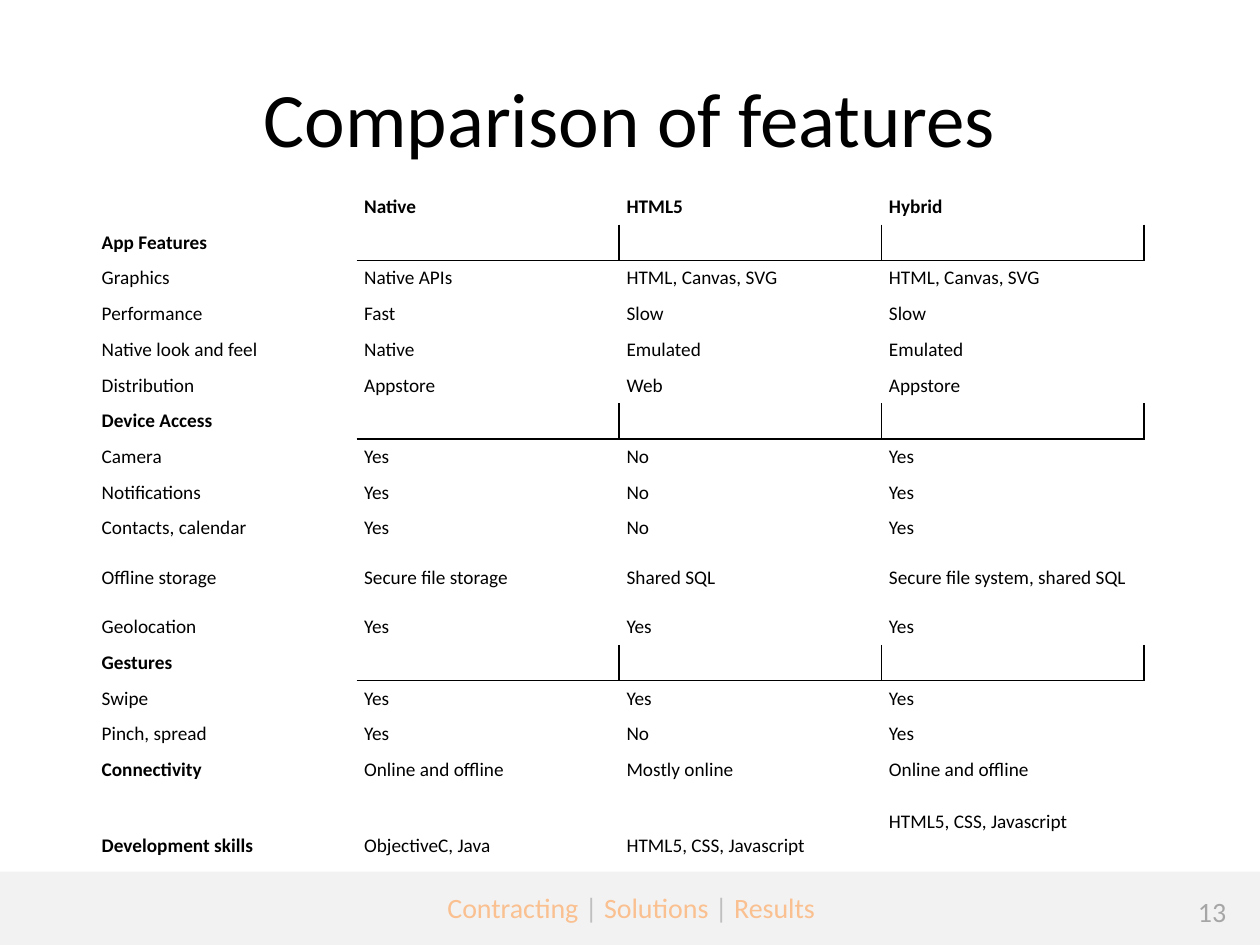
"""Build the slide that compares app features."""
from lxml.etree import SubElement as Sub
from pptx import Presentation as Deck
from pptx.dml.color import RGBColor as Rgb
from pptx.enum.shapes import MSO_SHAPE as Kind
from pptx.enum.text import MSO_ANCHOR as Anchor, PP_ALIGN as Align
from pptx.oxml.ns import qn
from pptx.util import Cm, Pt

FONT = "Calibri"
BLACK = Rgb(0x00, 0x00, 0x00)
BAND = Rgb(0xF2, 0xF2, 0xF2)
PEACH = Rgb(0xFA, 0xC0, 0x90)
SILVER = Rgb(0xBF, 0xBF, 0xBF)
GRAY = Rgb(0xA6, 0xA6, 0xA6)
PLAIN = "{2D5ABB26-0587-4C30-8999-92F81FD0307C}"

HEADS = {"App Features", "Device Access", "Gestures",
         "Connectivity", "Development skills"}
YES = ("Yes",) * 3
MIXED = ("Yes", "No", "Yes")
NONE = ("",) * 3
ROWS = [
    ("", "Native", "HTML5", "Hybrid"),
    ("App Features", *NONE),
    ("Graphics", "Native APIs", "HTML, Canvas, SVG", "HTML, Canvas, SVG"),
    ("Performance", "Fast", "Slow", "Slow"),
    ("Native look and feel", "Native", "Emulated", "Emulated"),
    ("Distribution", "Appstore", "Web", "Appstore"),
    ("Device Access", *NONE),
    ("Camera", *MIXED),
    ("Notifications", *MIXED),
    ("Contacts, calendar", *MIXED),
    ("Offline storage", "Secure file storage", "Shared SQL",
     "Secure file system, shared SQL"),
    ("Geolocation", *YES),
    ("Gestures", *NONE),
    ("Swipe", *YES),
    ("Pinch, spread", *MIXED),
    ("Connectivity", "Online and offline", "Mostly online",
     "Online and offline"),
    ("Development skills", "ObjectiveC, Java", "HTML5, CSS, Javascript",
     "HTML5, CSS, Javascript"),
]
HIGH = {"Offline storage": 1.27, "Development skills": 2.33}


def add_run(para, text, size, color, bold=False):
    run = para.add_run()
    run.text = text
    font = run.font
    font.name, font.size, font.bold = FONT, Pt(size), bold
    font.color.rgb = color


def add_text(slide, box, runs, size, align, anchor=Anchor.TOP):
    frame = slide.shapes.add_textbox(*map(Cm, box)).text_frame
    frame.word_wrap = True
    frame.vertical_anchor = anchor
    para = frame.paragraphs[0]
    para.alignment = align
    for text, color in runs:
        add_run(para, text, size, color)


def add_band(slide):
    band = slide.shapes.add_shape(Kind.RECTANGLE, 0, Cm(17.57), Cm(25.4), Cm(1.48))
    band.shadow.inherit = False
    band.fill.solid()
    band.fill.fore_color.rgb = BAND
    band.line.fill.background()


def add_edges(cell):
    props = cell._tc.get_or_add_tcPr()
    for tag in ("a:lnR", "a:lnB"):
        line = Sub(props, qn(tag), w=str(Pt(1)))
        fill = Sub(line, qn("a:solidFill"))
        Sub(fill, qn("a:srgbClr"), val=str(BLACK))


def fill_cell(cell, text, bold):
    cell.vertical_anchor = Anchor.MIDDLE
    cell.margin_left = cell.margin_right = Cm(0.15)
    cell.margin_top = cell.margin_bottom = Cm(0.08)
    para = cell.text_frame.paragraphs[0]
    if text:
        add_run(para, text, 11, BLACK, bold)
    else:
        Sub(para._p, qn("a:endParaRPr"), sz="1100")


def add_grid(slide):
    frame = slide.shapes.add_table(
        len(ROWS), 4, Cm(1.9), Cm(3.81), Cm(21.16), Cm(14.4))
    grid = frame.table
    grid.first_row = grid.horz_banding = False
    grid._tbl.tblPr.find(qn("a:tableStyleId")).text = PLAIN
    for col in grid.columns:
        col.width = Cm(5.29)
    for y, row in enumerate(ROWS):
        grid.rows[y].height = Cm(HIGH.get(row[0], 0.72))
        for x, text in enumerate(row):
            cell = grid.cell(y, x)
            fill_cell(cell, text, y == 0 or text in HEADS)
            if x and not text:
                add_edges(cell)
    cell.margin_bottom = Cm(1.02)


def main():
    deck = Deck()
    deck.slide_width, deck.slide_height = Cm(25.4), Cm(19.05)
    slide = deck.slides.add_slide(deck.slide_layouts[6])
    add_band(slide)
    motto = [("Contracting ", PEACH), ("| ", SILVER), ("Solutions ", PEACH),
             ("| ", SILVER), ("Results", PEACH)]
    add_text(slide, (7.24, 17.83, 10.97, 0.94), motto, 16, Align.CENTER)
    add_text(slide, (21.79, 17.91, 3.18, 0.94), [("13", GRAY)], 16, Align.RIGHT)
    add_text(slide, (1.27, 0.76, 22.86, 3.18),
             [("Comparison of features", BLACK)], 44, Align.CENTER, Anchor.MIDDLE)
    add_grid(slide)
    deck.save("out.pptx")


main()
